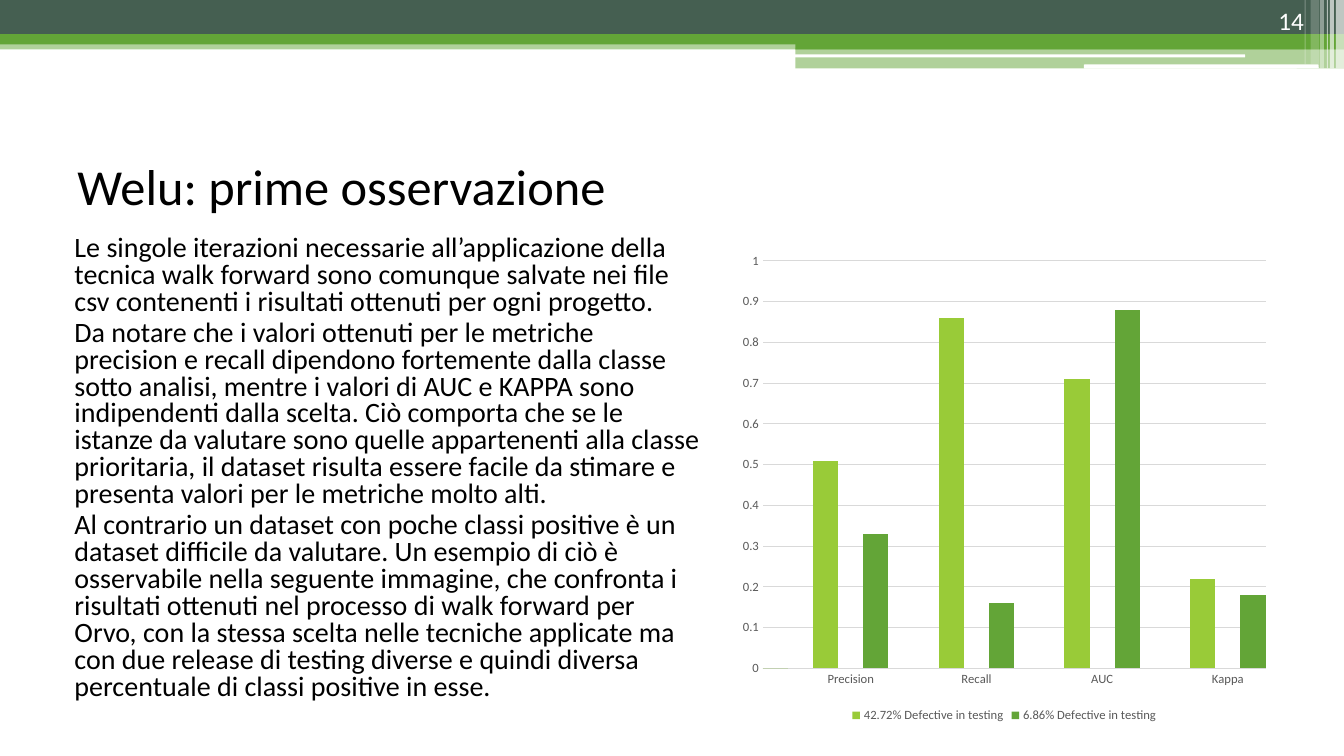
from lxml.etree import SubElement
from pptx import Presentation
from pptx.chart.data import CategoryChartData
from pptx.dml.color import RGBColor
from pptx.enum.chart import XL_CHART_TYPE, XL_LEGEND_POSITION, XL_TICK_MARK
from pptx.enum.shapes import MSO_SHAPE
from pptx.enum.text import MSO_ANCHOR, PP_ALIGN
from pptx.oxml.ns import qn
from pptx.util import Inches, Pt

DARK, GREEN, LIME, WHITE = "455F51", "63A537", "99CB38", "FFFFFF"
BLACK, GREY, GRID = "000000", "595959", "D9D9D9"


def color(value):
    return RGBColor.from_string(value)


class SlideBuilder:
    font_name = "Calibri"

    def __init__(self, slide):
        self.slide = slide

    def set_font(self, font, size, hex_color):
        font.name = self.font_name
        font.size = Pt(size)
        font.color.rgb = color(hex_color)

    def bar(self, left, top, width, height, fill, alpha=100, kind=MSO_SHAPE.RECTANGLE):
        shape = self.slide.shapes.add_shape(
            kind, Inches(left), Inches(top), Inches(width), Inches(height))
        shape.shadow.inherit = False
        shape.line.fill.background()
        shape.fill.solid()
        shape.fill.fore_color.rgb = color(fill)
        if alpha < 100:
            tone = shape.fill._xPr.find(".//" + qn("a:srgbClr"))
            SubElement(tone, qn("a:alpha")).set("val", str(alpha * 1000))

    def text(self, box, paragraphs, size, hex_color=BLACK, anchor=MSO_ANCHOR.TOP,
             align=PP_ALIGN.LEFT, line_spacing=None, before=0, indent=0):
        shape = self.slide.shapes.add_textbox(*[Inches(length) for length in box])
        frame = shape.text_frame
        frame.word_wrap = True
        frame.vertical_anchor = anchor
        frame.text = "\n".join(paragraphs)
        for paragraph in frame.paragraphs:
            self.set_font(paragraph.font, size, hex_color)
            paragraph.alignment = align
            paragraph.line_spacing = line_spacing
            paragraph.space_before = Pt(before)
            properties = paragraph._p.get_or_add_pPr()
            properties.set("marL", str(Inches(indent)))
            properties.set("indent", "0")

    def column_chart(self, box, categories, series):
        data = CategoryChartData()
        data.categories = categories
        for name, values, _ in series:
            data.add_series(name, values)
        chart = self.slide.shapes.add_chart(
            XL_CHART_TYPE.COLUMN_CLUSTERED, *[Inches(length) for length in box], data).chart
        self.set_font(chart.font, 10, BLACK)
        chart.has_title = False

        plot = chart.plots[0]
        plot.vary_by_categories = False
        plot.gap_width = 0
        plot.overlap = 100
        for chart_series, (_, _, fill) in zip(plot.series, series):
            chart_series.format.fill.solid()
            chart_series.format.fill.fore_color.rgb = color(fill)
            chart_series.invert_if_negative = False

        category_axis, value_axis = chart.category_axis, chart.value_axis
        for axis in (category_axis, value_axis):
            axis.major_tick_mark = axis.minor_tick_mark = XL_TICK_MARK.NONE
            self.set_font(axis.tick_labels.font, 9, GREY)
        category_axis.has_major_gridlines = False
        value_axis.minimum_scale, value_axis.maximum_scale = 0, 1
        value_axis.major_unit = 0.1
        value_axis.tick_labels.number_format = "General"
        value_axis.tick_labels.number_format_is_linked = False
        value_axis.format.line.fill.background()
        for line in (category_axis.format.line, value_axis.major_gridlines.format.line):
            line.color.rgb = color(GRID)
            line.width = Pt(0.75)

        # Keep the wide category labels horizontal
        body = category_axis._element.find(qn("c:txPr")).find(qn("a:bodyPr"))
        body.set("rot", "-60000000")
        body.set("vert", "horz")

        chart.has_legend = True
        chart.legend.position = XL_LEGEND_POSITION.BOTTOM
        chart.legend.include_in_layout = False
        self.set_font(chart.legend.font, 9, GREY)


def main():
    presentation = Presentation()
    presentation.slide_width, presentation.slide_height = Inches(13.33), Inches(7.5)
    builder = SlideBuilder(presentation.slides.add_slide(presentation.slide_layouts[6]))

    # Header bands
    builder.bar(0, 0.4, 13.33, 0.09, GREEN, 50)
    builder.bar(0, 0, 13.33, 0.34, DARK)
    builder.bar(0, 0.34, 13.33, 0.1, GREEN)
    builder.bar(7.89, 0.39, 5.44, 0.1, GREEN)
    builder.bar(7.89, 0.48, 5.44, 0.2, GREEN, 50)
    for left, top, width, height in ((7.88, 0.54, 4.47, 0.03), (10.75, 0.64, 2.33, 0.04)):
        builder.bar(left, top, width, height, WHITE, kind=MSO_SHAPE.ROUNDED_RECTANGLE)

    # Translucent stripes at the right edge
    for left, width, height, alpha in (
            (13.25, 0.08, 0.68, 65), (13.19, 0.04, 0.68, 65), (13.16, 0.01, 0.68, 60),
            (13.09, 0.04, 0.68, 40), (13, 0.08, 0.64, 20), (12.94, 0.01, 0.64, 30)):
        builder.bar(left, 0, width, height, WHITE, alpha)

    # Title, body and slide number
    builder.text((0.67, 1.25, 12, 1.17), ["Welu: prime osservazione"], 36,
                 anchor=MSO_ANCHOR.MIDDLE)
    builder.text((0.52, 2.29, 6.55, 5.03), [
        "Le singole iterazioni necessarie all’applicazione della tecnica walk forward sono "
        "comunque salvate nei file csv contenenti i risultati ottenuti per ogni progetto.",
        "Da notare che i valori ottenuti per le metriche precision e recall dipendono "
        "fortemente dalla classe sotto analisi, mentre i valori di AUC e KAPPA sono "
        "indipendenti dalla scelta. Ciò comporta che se le istanze da valutare sono quelle "
        "appartenenti alla classe prioritaria, il dataset risulta essere facile da stimare e "
        "presenta valori per le metriche molto alti.",
        "Al contrario un dataset con poche classi positive è un dataset difficile da "
        "valutare. Un esempio di ciò è osservabile nella seguente immagine, che confronta i "
        "risultati ottenuti nel processo di walk forward per Orvo, con la stessa scelta "
        "nelle tecniche applicate ma con due release di testing diverse e quindi diversa "
        "percentuale di classi positive in esse.",
    ], 20, line_spacing=0.8, before=3, indent=0.12)
    builder.text((11.92, 0, 1.11, 0.4), ["14"], 18, WHITE, MSO_ANCHOR.BOTTOM, PP_ALIGN.RIGHT)

    # Each metric takes five slots: its label sits between its two columns
    metrics = (("Precision", 0.51, 0.33), ("Recall", 0.86, 0.16),
               ("AUC", 0.71, 0.88), ("Kappa", 0.22, 0.18))
    slots = 5 * len(metrics)
    categories = [""] * slots
    first, second = [0] + [None] * (slots - 1), [0] + [None] * (slots - 1)
    for index, (name, first_value, second_value) in enumerate(metrics):
        start = 5 * index
        first[start + 2] = first_value
        categories[start + 3] = name
        second[start + 4] = second_value
    builder.column_chart((7.26, 2.42, 5.4, 4.79), categories, (
        ("42.72% Defective in testing", first, LIME),
        ("6.86% Defective in testing", second, GREEN)))

    presentation.save("out.pptx")


if __name__ == "__main__":
    main()
